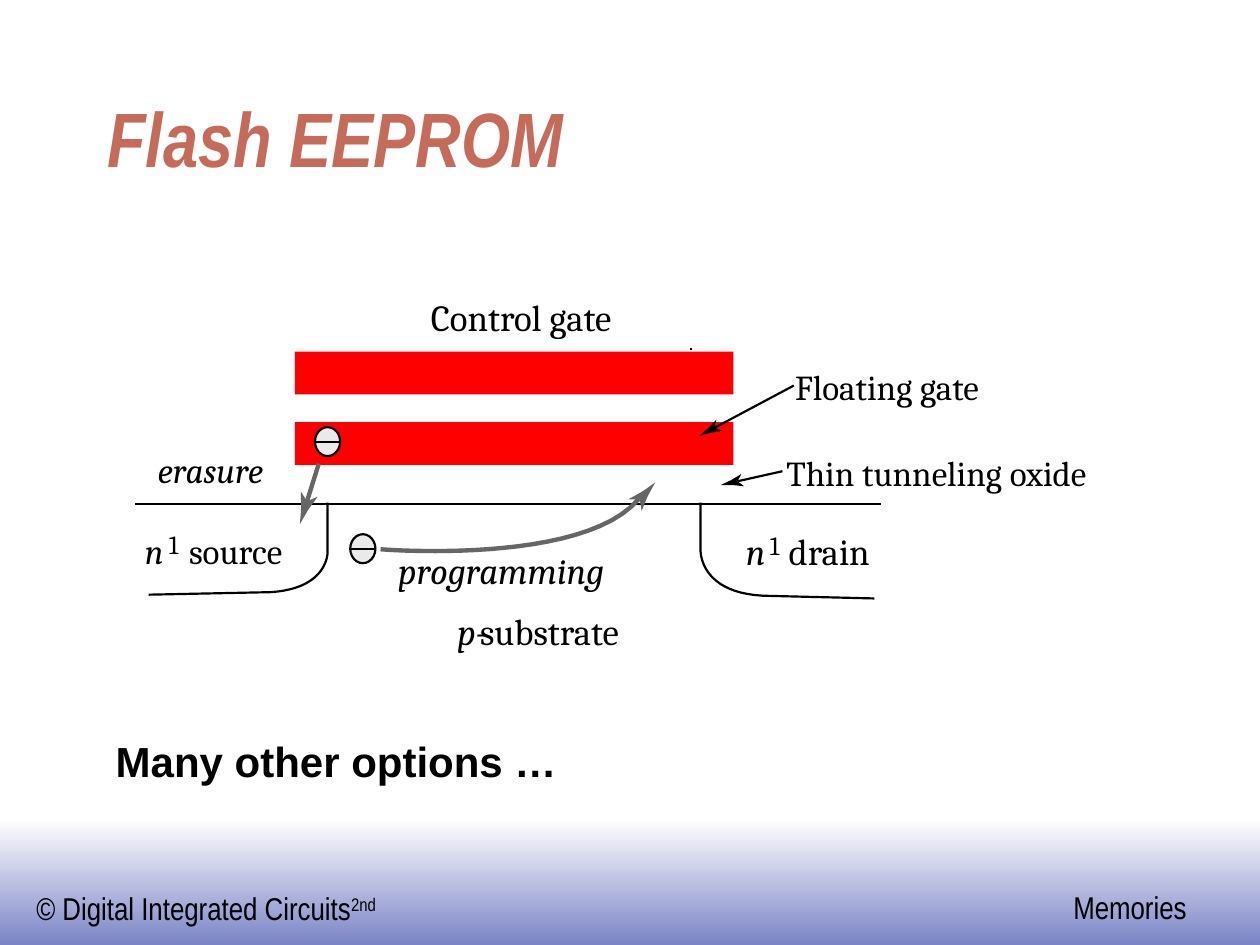
from math import hypot

from lxml.etree import SubElement
from pptx import Presentation
from pptx.dml.color import RGBColor
from pptx.enum.shapes import MSO_CONNECTOR, MSO_SHAPE
from pptx.enum.text import MSO_ANCHOR, MSO_AUTO_SIZE, PP_ALIGN
from pptx.oxml.ns import qn
from pptx.util import Inches, Pt

BLACK, GREY, RED = "000000", "666666", "FF0000"


def rgb(value):
    return RGBColor.from_string(value)


def bezier(p0, p1, p2, p3, steps=24):
    """Points along a cubic curve, both ends included."""
    points = []
    for i in range(steps + 1):
        t = i / steps
        u = 1 - t
        weights = (u ** 3, 3 * u * u * t, 3 * u * t * t, t ** 3)
        points.append(tuple(sum(w * p[axis] for w, p in zip(weights, (p0, p1, p2, p3)))
                            for axis in (0, 1)))
    return points


class SlideBuilder:
    """Draws on one slide with the shared style of the diagram."""

    def __init__(self, slide):
        self.s = slide
        self.line_width = 1.25

    def format_run(self, r, size, font, color=BLACK, bold=False, italic=False):
        r.font.size, r.font.name = Pt(size), font
        r.font.bold, r.font.italic = bold, italic
        r.font.color.rgb = rgb(color)

    def title(self, text, left, top, width, height):
        sp = self.s.shapes.title
        sp.left, sp.top, sp.width, sp.height = map(Inches, (left, top, width, height))
        tf = sp.text_frame
        tf.text = text
        tf.auto_size, tf.vertical_anchor = MSO_AUTO_SIZE.NONE, MSO_ANCHOR.BOTTOM
        p = tf.paragraphs[0]
        p.alignment = PP_ALIGN.LEFT
        self.format_run(p.runs[0], 44, "Arial Narrow", "C66B5A", True, True)

    def text(self, text, left, top, width, height, size, font="Cambria",
             margins=(0, 0), bold=False, italic=False, superscript="", wrap=False):
        sp = self.s.shapes.add_textbox(*map(Inches, (left, top, width, height)))
        tf = sp.text_frame
        tf.word_wrap, tf.auto_size = wrap, MSO_AUTO_SIZE.SHAPE_TO_FIT_TEXT
        tf.margin_left = tf.margin_right = Inches(margins[0])
        tf.margin_top = tf.margin_bottom = Inches(margins[1])
        tf.text = text
        p = tf.paragraphs[0]
        if superscript:
            r = p.add_run()
            r.text = superscript
            r._r.get_or_add_rPr().set("baseline", "30000")
        for r in p.runs:
            self.format_run(r, size, font, bold=bold, italic=italic)

    def shape(self, kind, left, top, width, height, fill, line=None):
        sp = self.s.shapes.add_shape(kind, *map(Inches, (left, top, width, height)))
        sp.shadow.inherit = False
        sp.fill.solid()
        sp.fill.fore_color.rgb = rgb(fill)
        self.outline(sp, line)
        return sp

    def outline(self, sp, color, width=None):
        if color is None:
            sp.line.fill.background()
        else:
            sp.line.color.rgb = rgb(color)
            sp.line.width = Pt(width or self.line_width)

    def line(self, start, end, color=BLACK, width=None):
        c = self.s.shapes.add_connector(MSO_CONNECTOR.STRAIGHT, *map(Inches, start + end))
        self.outline(c, color, width)
        SubElement(c._element.spPr, qn("a:effectLst"))

    def outline_path(self, points, color=BLACK, width=None, filled=False):
        """An open stroked path, or a closed filled one without a stroke."""
        dots = [(Inches(x), Inches(y)) for x, y in points]
        builder = self.s.shapes.build_freeform(*dots[0])
        builder.add_line_segments(dots[1:], close=filled)
        sp = builder.convert_to_shape()
        sp.shadow.inherit = False
        if filled:
            sp.fill.solid()
            sp.fill.fore_color.rgb = rgb(color)
        else:
            sp.fill.background()
        self.outline(sp, None if filled else color, width)

    def arrow_head(self, tail, tip, length, width, color):
        """Draws a barbed head at tip and returns its notch."""
        dx, dy = tip[0] - tail[0], tip[1] - tail[1]
        size = hypot(dx, dy)
        ux, uy = dx / size, dy / size

        def at(back, side):
            return (tip[0] - back * ux - side * uy, tip[1] - back * uy + side * ux)

        notch = at(0.76 * length, 0)
        self.outline_path([tip, at(0.5 * length, width / 5), at(length, width / 2), notch,
                           at(length, -width / 2), at(0.5 * length, -width / 5)],
                          color, filled=True)
        return notch

    def arrow(self, tail, tip, length=0.18, width=0.1, color=BLACK, weight=None):
        self.line(tail, self.arrow_head(tail, tip, length, width, color), color, weight)

    def electron(self, left, top):
        self.shape(MSO_SHAPE.OVAL, left, top, 0.2, 0.23, "EAEAEA", BLACK)
        middle = top + 0.115
        self.line((left, middle), (left + 0.2, middle))


def main():
    prs = Presentation()
    prs.slide_width, prs.slide_height = Inches(10), Inches(7.5)
    b = SlideBuilder(prs.slides.add_slide(prs.slide_layouts[5]))

    # Footer band
    band = b.shape(MSO_SHAPE.RECTANGLE, 0, 6.5, 10, 1, "FFFFFF")
    band.fill.gradient()
    band.fill.gradient_angle = 270
    for stop, color, position in zip(band.fill.gradient_stops, ("FFFFFF", "7B84C6"), (0, 1)):
        stop.color.rgb = rgb(color)
        stop.position = position
    boxed = {"margins": (0.1, 0.05)}
    b.text("© Digital Integrated Circuits", 0.19, 7.01, 3.1, 0.4, 18, "Arial Narrow",
           superscript="2nd", wrap=True, **boxed)
    b.text("Memories", 8.42, 7, 1.1, 0.4, 18, "Arial Narrow", **boxed)

    b.title("Flash EEPROM", 0.75, 0.25, 8.5, 1.25)

    # Gates, substrate surface and wells
    for top in (2.79, 3.35):
        b.shape(MSO_SHAPE.RECTANGLE, 2.34, top, 3.48, 0.34, RED)
    b.line((5.48, 2.77), (5.49, 2.77))
    b.line((1.07, 4), (6.99, 4))
    wells = (
        ((2.6, 3.99), (2.6, 4.38), (2.61, 4.67), (2.15, 4.7), (1.18, 4.72)),
        ((5.56, 3.99), (5.56, 4.36), (5.54, 4.73), (6.12, 4.73), (6.94, 4.75)),
    )
    for surface, bend, control, floor, end in wells:
        b.outline_path([surface, *bezier(bend, bend, control, floor), end])

    # Labels: text, left, top, width, size, italic
    labels = (
        ("Control gate", 3.42, 2.34, 1.69, 21, False),
        ("erasure", 1.25, 3.56, 0.99, 20, True),
        ("p-", 3.63, 4.83, 0.26, 21, True),
        ("substrate", 3.81, 4.83, 1.29, 21, False),
        ("Floating gate", 6.31, 2.9, 1.71, 20, False),
        ("Thin tunneling oxide", 6.24, 3.58, 2.78, 20, False),
        ("n", 1.15, 4.2, 0.17, 20, True),
        ("1", 1.34, 4.19, 0.12, 15, False),
        ("source", 1.5, 4.2, 0.88, 20, False),
        ("n", 5.92, 4.2, 0.18, 21, True),
        ("1", 6.11, 4.2, 0.12, 15, False),
        ("drain", 6.26, 4.2, 0.76, 21, False),
        ("programming", 3.16, 4.35, 1.89, 21, True),
    )
    for text, left, top, width, size, italic in labels:
        b.text(text, left, top, width, size / 60, size, italic=italic)

    # Electrons and arrows
    b.electron(2.5, 3.39)
    b.electron(2.78, 4.24)
    b.arrow((6.3, 3.06), (5.55, 3.46))
    b.arrow((6.21, 3.74), (5.72, 3.85))
    b.arrow((2.53, 3.68), (2.38, 4.16), 0.25, 0.14, GREY, 2.5)
    start, end = (3.02, 4.36), (5.07, 3.96)
    b.outline_path(bezier(start, start, (4.63, 4.49), end), GREY, 2.5)
    b.arrow_head((5.04, 4.01), (5.2, 3.83), 0.24, 0.14, GREY)

    b.text("Many other options …", 0.82, 5.79, 3.7, 0.5, 24, "Arial", bold=True, **boxed)
    prs.save("out.pptx")


if __name__ == "__main__":
    main()
